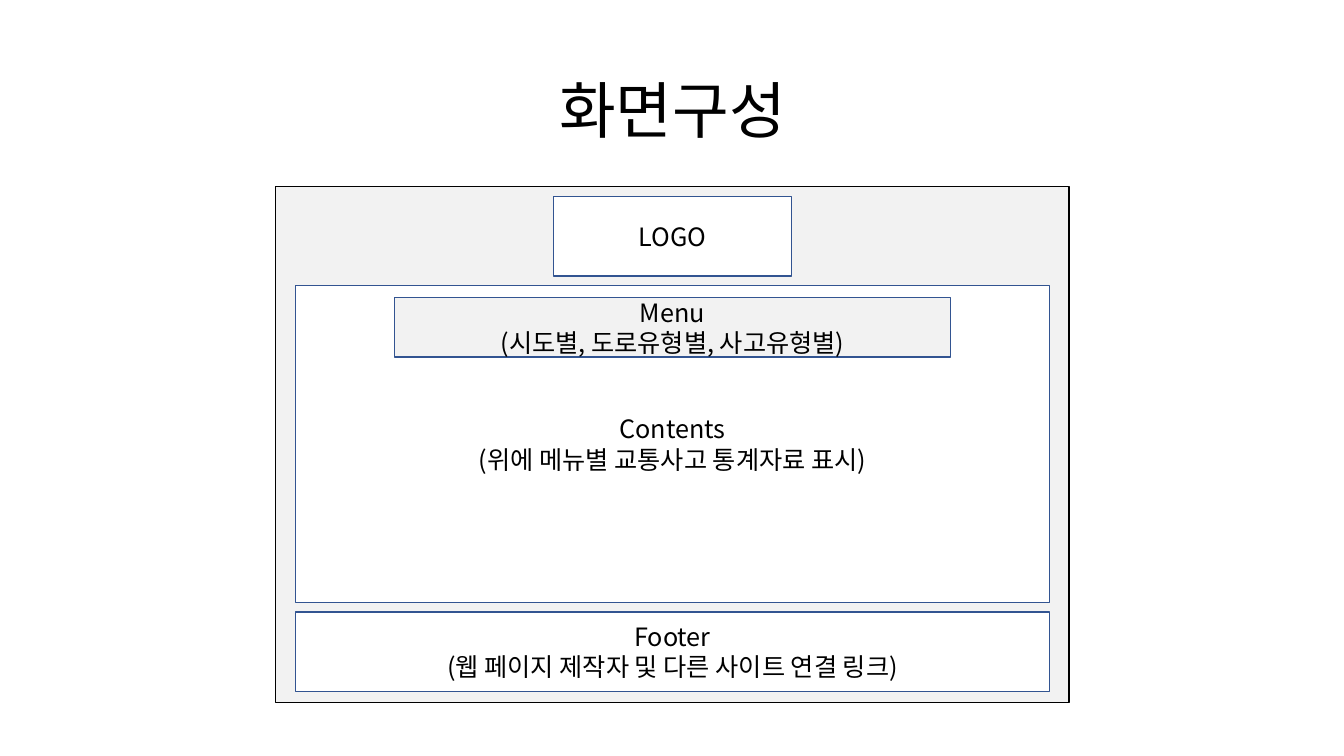
import pptx
import pptx.util
import pptx.dml.color
import pptx.enum.shapes
import pptx.enum.text
import pptx.oxml.ns
import lxml.etree

Inches = pptx.util.Inches
FONT = "Noto Sans CJK KR"
COLORS = {"black": "000000", "white": "FFFFFF", "gray": "F2F2F2", "blue": "325491"}


def color(name):
    return pptx.dml.color.RGBColor.from_string(COLORS[name])


def write_lines(shape, lines, size, spacing):
    frame = shape.text_frame
    frame.word_wrap = True
    frame.vertical_anchor = pptx.enum.text.MSO_ANCHOR.MIDDLE
    paragraph_format = {"alignment": pptx.enum.text.PP_ALIGN.CENTER, "line_spacing": spacing}
    for index, line in enumerate(lines):
        paragraph = frame.add_paragraph() if index else frame.paragraphs[0]
        for name, value in paragraph_format.items():
            setattr(paragraph, name, value)
        run = paragraph.add_run()
        run.text = line
        for name, value in {"size": pptx.util.Pt(size), "name": FONT}.items():
            setattr(run.font, name, value)
        run.font.color.rgb = color("black")
        # Hangul takes the East Asian typeface
        east_asian = lxml.etree.SubElement(run.font._element, pptx.oxml.ns.qn("a:ea"))
        east_asian.set("typeface", FONT)


presentation = pptx.Presentation()
presentation.slide_width = Inches(13.33)
presentation.slide_height = Inches(7.5)
slide = presentation.slides.add_slide(presentation.slide_layouts[6])

# Title
title = slide.shapes.add_textbox(Inches(0.92), Inches(0.4), Inches(11.5), Inches(1.45))
write_lines(title, ["화면구성"], 44, 0.9)

# Page wireframe, back to front, every box centred on the page
PAGE_CENTER = 6.67
boxes = [
    # top, width, height, fill, line, text
    (1.85, 7.87, 5.12, "gray", "black", []),
    (2.83, 7.48, 3.15, "white", "blue", ["Contents", "(위에 메뉴별 교통사고 통계자료 표시)"]),
    (1.95, 2.36, 0.79, "white", "blue", ["LOGO"]),
    (6.07, 7.48, 0.79, "white", "blue", ["Footer", "(웹 페이지 제작자 및 다른 사이트 연결 링크)"]),
    (2.95, 5.51, 0.59, "gray", "blue", ["Menu", "(시도별, 도로유형별, 사고유형별)"]),
]
for top, width, height, fill, line, lines in boxes:
    box = slide.shapes.add_shape(
        pptx.enum.shapes.MSO_SHAPE.RECTANGLE,
        Inches(PAGE_CENTER - width / 2), Inches(top), Inches(width), Inches(height))
    box.shadow.inherit = False
    box.fill.solid()
    box.fill.fore_color.rgb = color(fill)
    box.line.color.rgb = color(line)
    box.line.width = pptx.util.Pt(1)
    write_lines(box, lines, 18, 1.0)

presentation.save("out.pptx")
